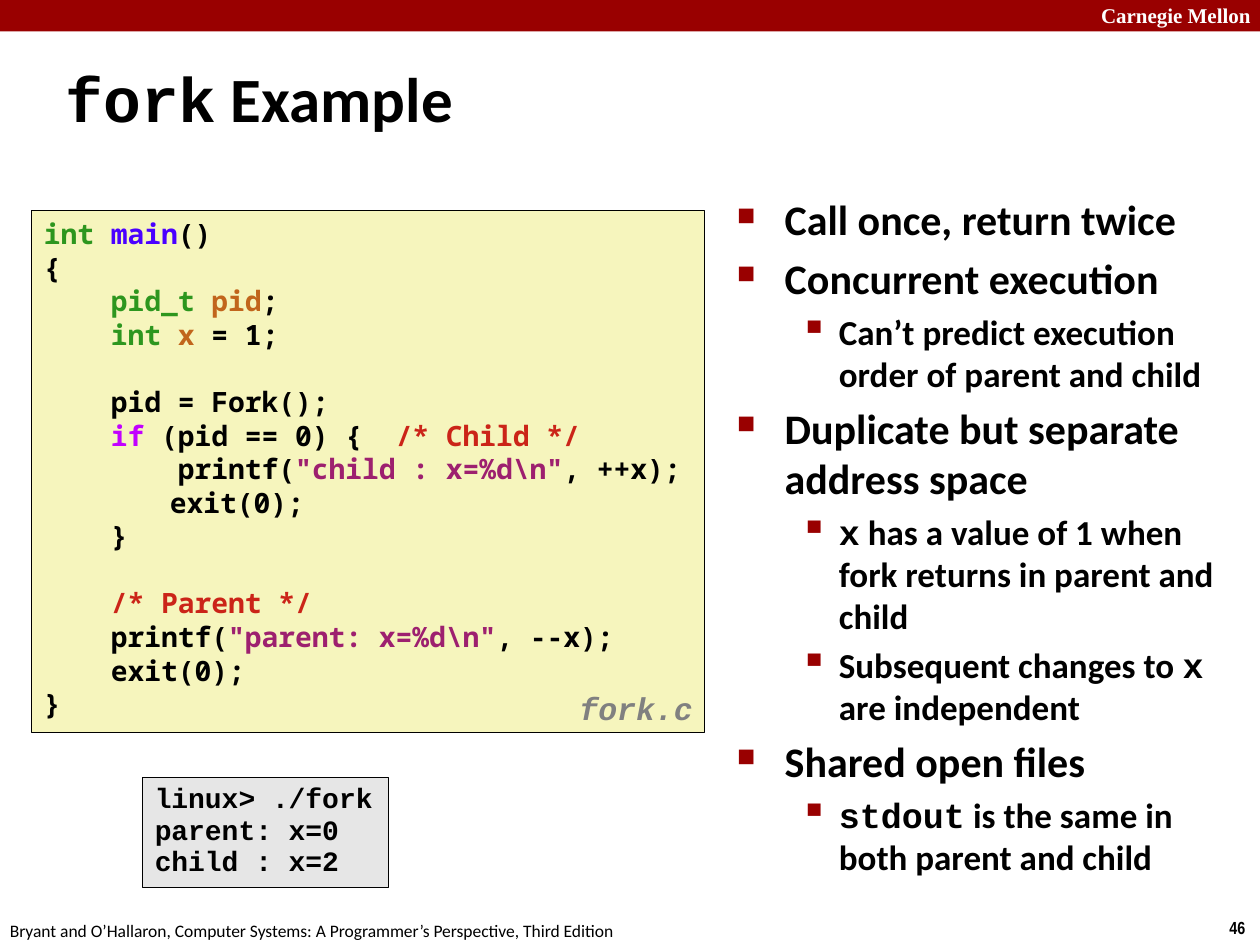
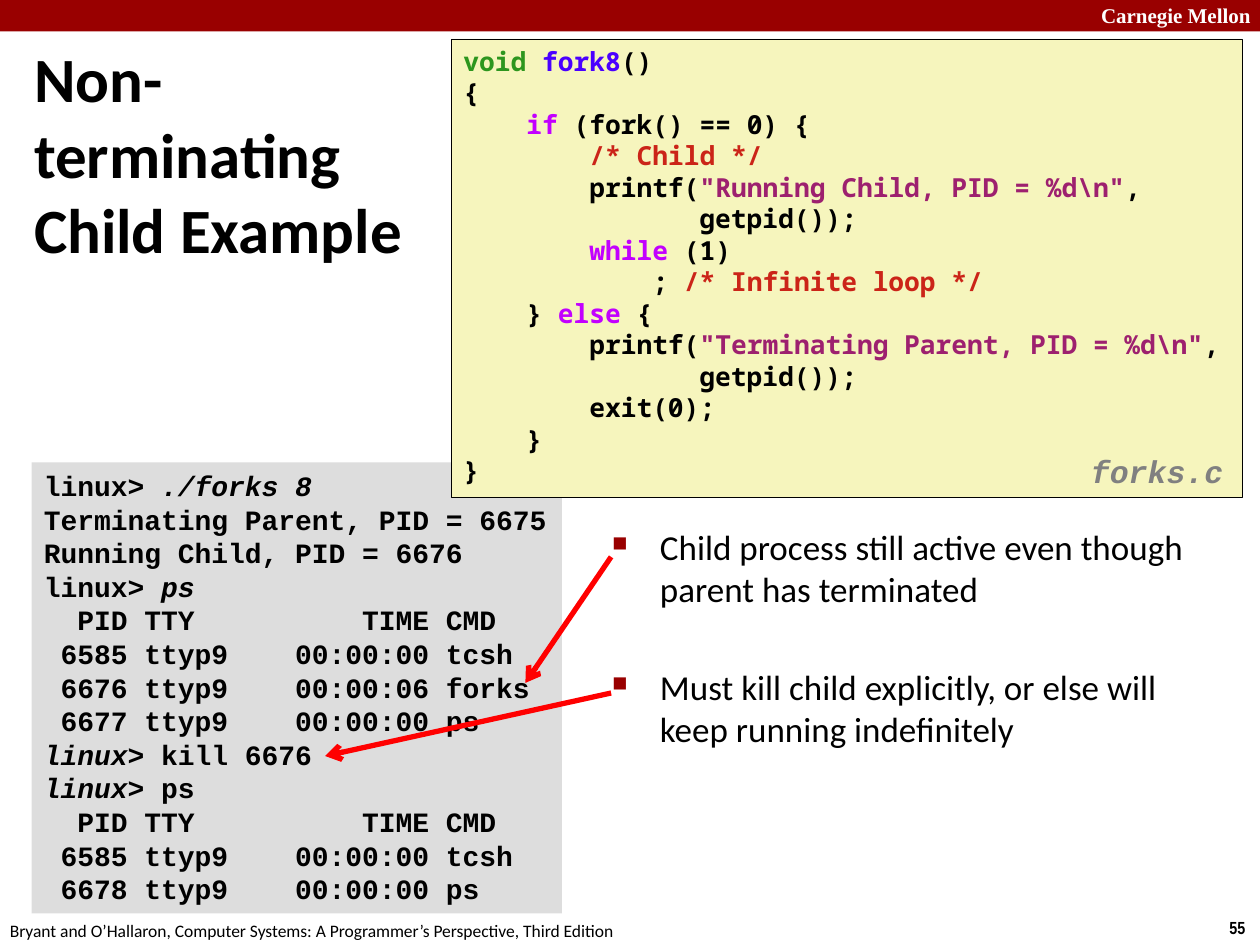
from dataclasses import dataclass, replace

from lxml.etree import SubElement
from pptx import Presentation
from pptx.dml.color import RGBColor
from pptx.enum.shapes import MSO_CONNECTOR as CONNECTOR, MSO_SHAPE as SHAPE
from pptx.enum.text import MSO_ANCHOR as ANCHOR, MSO_AUTO_SIZE as AUTO_SIZE, PP_ALIGN as ALIGN
from pptx.oxml.ns import qn
from pptx.util import Inches, Pt

BLACK = RGBColor(0x00, 0x00, 0x00)
WHITE = RGBColor(0xFF, 0xFF, 0xFF)
CRIMSON = RGBColor(0x99, 0x00, 0x00)
CREAM = RGBColor(0xF6, 0xF5, 0xBD)
PALE_GREY = RGBColor(0xE6, 0xE6, 0xE6)
LIGHT_GREY = RGBColor(0xDD, 0xDD, 0xDD)
MID_GREY = RGBColor(0x80, 0x80, 0x80)
ARROW_RED = RGBColor(0xFF, 0x00, 0x00)


@dataclass
class Style:
    font: str = "Calibri"
    size: float = 20
    color: RGBColor = BLACK
    bold: bool = False
    italic: bool = False


TITLE = Style(size=36, bold=True)
CODE = Style("Noto Sans Mono", 16, bold=True)
SHELL = Style("Courier New", 16, bold=True)
FILE_NAME = Style("Courier New", 18, MID_GREY, bold=True, italic=True)
UNIVERSITY = Style("Times New Roman", 12, WHITE, bold=True)
PAGE_NUMBER = Style("Arial Narrow", 10, bold=True)
FOOTER = Style(size=10)

TYPE = {"color": RGBColor(0x2D, 0x96, 0x1E)}
FUNCTION = {"color": RGBColor(0x4A, 0x00, 0xFF)}
VARIABLE = {"color": RGBColor(0xC1, 0x65, 0x1C)}
KEYWORD = {"color": RGBColor(0xC2, 0x00, 0xFF)}
COMMENT = {"color": RGBColor(0xCB, 0x24, 0x18)}
STRING = {"color": RGBColor(0x9D, 0x20, 0x6F)}
MONO = {"font": "Courier New"}
ITALIC = {"italic": True}

UNIVERSITY_NAME = "Carnegie Mellon"
BOOK = "Bryant and O’Hallaron, Computer Systems: A Programmer’s Perspective, Third Edition"

FORK_TITLE = [[("fork", MONO), " Example"]]
FORK_CODE = [
    [("int ", TYPE), ("main", FUNCTION), "()"],
    ["{"],
    ["    ", ("pid_t ", TYPE), ("pid", VARIABLE), ";"],
    ["    ", ("int ", TYPE), ("x", VARIABLE), " = 1;"],
    [],
    ["    pid = Fork();"],
    ["    ", ("if", KEYWORD), " (pid == 0) {  ", ("/* Child */", COMMENT)],
    ["        printf(", (r'"child : x=%d\n"', STRING), ", ++x);"],
    ["\texit(0);"],
    ["    }"],
    [],
    ["    ", ("/* Parent */", COMMENT)],
    ["    printf(", (r'"parent: x=%d\n"', STRING), ", --x);"],
    ["    exit(0);"],
    ["}"],
]
FORK_OUTPUT = [["linux> ./fork"], ["parent: x=0"], ["child : x=2"]]
FORK_POINTS = [
    (0, ["Call once, return twice"]),
    (0, ["Concurrent execution"]),
    (1, ["Can’t predict execution order of parent and child"]),
    (0, ["Duplicate but separate address space"]),
    (1, [("x", MONO), " has a value of 1 when fork returns in parent and child"]),
    (1, ["Subsequent changes to ", ("x", MONO), " are independent"]),
    (0, ["Shared open files"]),
    (1, [("stdout", MONO), " is the same in both parent and child"]),
]

CHILD_TITLE = [["Non-\vterminating\vChild Example"]]
CHILD_CODE = [
    [("void ", TYPE), ("fork8", FUNCTION), "()"],
    ["{"],
    ["    ", ("if", KEYWORD), " (fork() == 0) {"],
    ["        ", ("/* Child */", COMMENT)],
    ["        printf(", (r'"Running Child, PID = %d\n"', STRING), ","],
    ["               getpid());"],
    ["        ", ("while", KEYWORD), " (1)"],
    ["            ; ", ("/* Infinite loop */", COMMENT)],
    ["    } ", ("else", KEYWORD), " {"],
    ["        printf(", (r'"Terminating Parent, PID = %d\n"', STRING), ","],
    ["               getpid());"],
    ["        exit(0);"],
    ["    }"],
    ["}"],
]
PS_HEAD = ["  PID TTY          TIME CMD"]
PS_SHELL = [" 6585 ttyp9    00:00:00 tcsh"]
CHILD_OUTPUT = [
    ["linux> ", ("./forks 8", ITALIC)],
    ["Terminating Parent, PID = 6675"],
    ["Running Child, PID = 6676"],
    ["linux> ", ("ps", ITALIC)],
    PS_HEAD,
    PS_SHELL,
    [" 6676 ttyp9    00:00:06 forks"],
    [" 6677 ttyp9    00:00:00 ps"],
    [("linux>", ITALIC), " kill 6676"],
    [("linux> ", ITALIC), "ps"],
    PS_HEAD,
    PS_SHELL,
    [" 6678 ttyp9    00:00:00 ps"],
]
CHILD_POINTS = [
    (0, ["Child process still active even though parent has terminated"]),
    (0, ["Must kill child explicitly, or else will keep running indefinitely"]),
]
CHILD_ARROWS = [((4.85, 4.42), (4.17, 5.42)), ((4.85, 5.5), (2.58, 6))]

BULLETS = [("■", 60, 0.38, 0.38), ("▪", 110, 0.81, 0.31)]


def inches(*lengths):
    return [Inches(length) for length in lengths]


def add_runs(paragraph, parts, style):
    for part in parts:
        text, changes = (part, {}) if isinstance(part, str) else part
        look = replace(style, **changes)
        for index, piece in enumerate(text.split("\v")):
            if index:
                paragraph.add_line_break()
            run = paragraph.add_run()
            run.text = piece
            font = run.font
            font.name, font.size = look.font, Pt(look.size)
            font.bold, font.italic = look.bold, look.italic
            font.color.rgb = look.color
    if not parts:
        end = SubElement(paragraph._p, qn("a:endParaRPr"), sz=str(style.size * 100))
        SubElement(end, qn("a:latin"), typeface=style.font)


def add_paragraphs(frame, count):
    return [frame.paragraphs[0]] + [frame.add_paragraph() for _ in range(count - 1)]


def write_lines(frame, lines, style, spacing=None):
    frame.word_wrap = False
    frame.vertical_anchor = ANCHOR.TOP
    for paragraph, parts in zip(add_paragraphs(frame, len(lines)), lines):
        paragraph.alignment = ALIGN.LEFT
        if spacing:
            paragraph.line_spacing = spacing
        if parts and parts[0][0] == "\t":
            tabs = SubElement(paragraph._p.get_or_add_pPr(), qn("a:tabLst"))
            SubElement(tabs, qn("a:tab"), pos=str(Inches(1)), algn="l")
        add_runs(paragraph, parts, style)


def add_panel(slide, place, fill, lines=(), style=CODE, outlined=True, spacing=None):
    panel = slide.shapes.add_shape(SHAPE.RECTANGLE, *inches(*place))
    panel.shadow.inherit = False
    panel.fill.solid()
    panel.fill.fore_color.rgb = fill
    if outlined:
        panel.line.color.rgb = BLACK
        panel.line.width = Pt(0.25)
    else:
        panel.line.fill.background()
    if lines:
        write_lines(panel.text_frame, lines, style, spacing)


def add_label(slide, place, text, style, spacing=None):
    label = slide.shapes.add_textbox(*inches(*place))
    write_lines(label.text_frame, [[text]], style, spacing)


def add_points(slide, place, points, styles, gaps):
    frame = slide.shapes.add_textbox(*inches(*place)).text_frame
    frame.word_wrap = True
    paragraphs = add_paragraphs(frame, len(points))
    for index, (paragraph, (level, parts)) in enumerate(zip(paragraphs, points)):
        symbol, percent, margin, hanging = BULLETS[level]
        paragraph.level = level
        paragraph.space_before = Pt(gaps[level] if index else 0)
        properties = paragraph._p.get_or_add_pPr()
        properties.set("marL", str(Inches(margin)))
        properties.set("indent", str(-Inches(hanging)))
        bullet_color = SubElement(properties, qn("a:buClr"))
        SubElement(bullet_color, qn("a:srgbClr"), val=str(CRIMSON))
        SubElement(properties, qn("a:buSzPct"), val=str(percent * 1000))
        SubElement(properties, qn("a:buChar"), char=symbol)
        add_runs(paragraph, parts, styles[level])


def add_arrow(slide, start, end):
    arrow = slide.shapes.add_connector(CONNECTOR.STRAIGHT, *inches(*start, *end))
    arrow.line.color.rgb = ARROW_RED
    arrow.line.width = Pt(3)
    SubElement(arrow.line._get_or_add_ln(), qn("a:tailEnd"), type="arrow")
    SubElement(arrow._element.spPr, qn("a:effectLst"))


def start_slide(deck, title_place, title_lines, page):
    slide = deck.slides.add_slide(deck.slide_layouts[5])
    title = slide.shapes.title
    title.left, title.top, title.width, title.height = inches(*title_place)
    frame = title.text_frame
    write_lines(frame, title_lines, TITLE)
    frame.word_wrap = True
    frame.auto_size = AUTO_SIZE.NONE
    frame.vertical_anchor = ANCHOR.MIDDLE
    add_panel(slide, (0, 0, 10, 0.25), CRIMSON, outlined=False)
    add_label(slide, (8.64, -0.03, 1.43, 0.3), UNIVERSITY_NAME, UNIVERSITY)
    add_label(slide, (9.66, 7.23, 0.34, 0.27), str(page), PAGE_NUMBER)
    add_label(slide, (-0.02, 7.25, 5.08, 0.27), BOOK, FOOTER)
    return slide


def build_fork(deck):
    slide = start_slide(deck, (0.42, 0.46, 6.23, 0.63), FORK_TITLE, 46)
    add_panel(slide, (0.25, 1.67, 5.34, 4.14), CREAM, FORK_CODE)
    add_panel(slide, (1.13, 6.17, 1.95, 0.87), PALE_GREY, FORK_OUTPUT, SHELL, spacing=0.94)
    add_label(slide, (4.5, 5.44, 1.17, 0.39), "fork.c", FILE_NAME, 0.94)
    styles = [Style(size=24, bold=True), Style(size=20, bold=True)]
    add_points(slide, (5.75, 1.49, 4.17, 5.68), FORK_POINTS, styles, (4.8, 4))


def build_child(deck):
    slide = start_slide(deck, (0.17, 0.33, 4, 1.77), CHILD_TITLE, 55)
    add_panel(slide, (0.25, 3.67, 4.21, 3.58), LIGHT_GREY, CHILD_OUTPUT, SHELL, outlined=False)
    add_points(slide, (4.76, 4.12, 4.74, 2.97), CHILD_POINTS, [Style()], [32])
    add_panel(slide, (3.58, 0.31, 6.28, 3.64), CREAM, CHILD_CODE, replace(CODE, size=15))
    add_label(slide, (8.56, 3.56, 1.32, 0.39), "forks.c", FILE_NAME, 0.94)
    for start, end in CHILD_ARROWS:
        add_arrow(slide, start, end)


def main():
    deck = Presentation()
    deck.slide_width, deck.slide_height = inches(10, 7.5)
    build_fork(deck)
    build_child(deck)
    deck.save("out.pptx")


if __name__ == "__main__":
    main()
